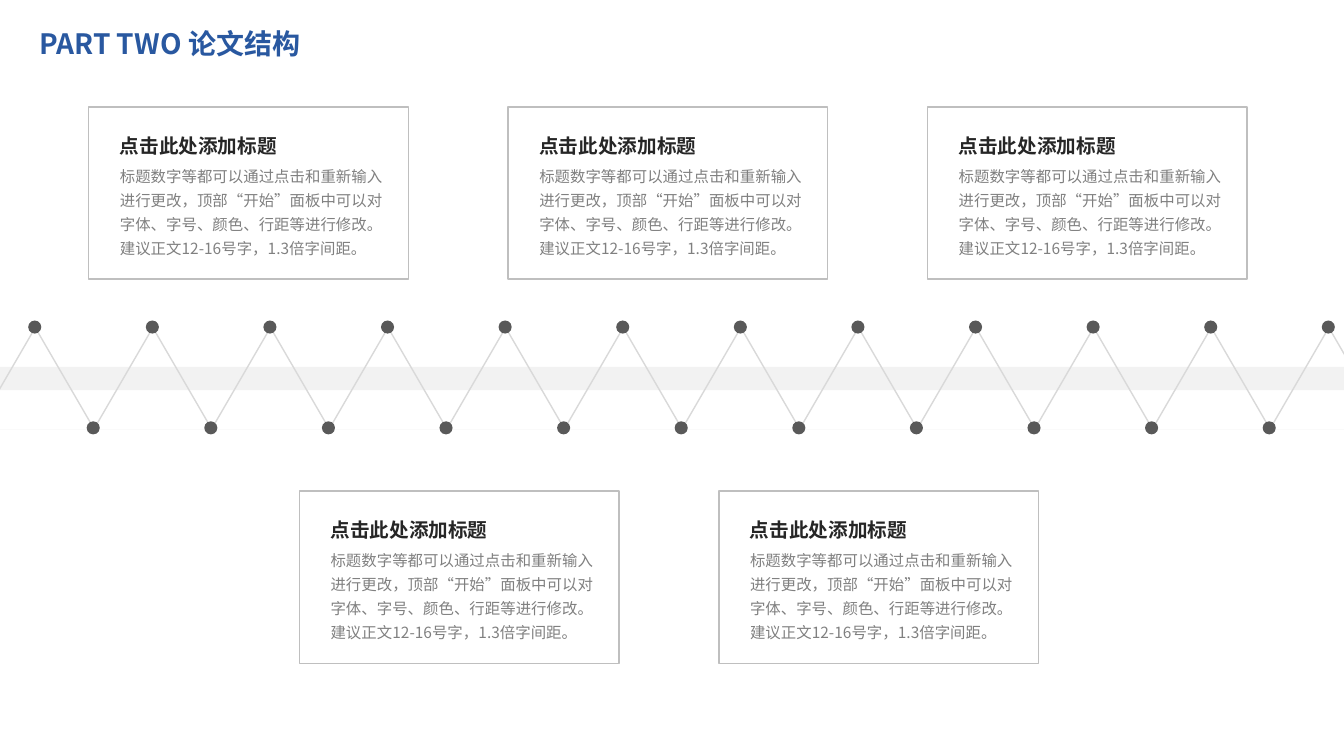
from pptx import Presentation
from pptx import util as u
from pptx.dml.color import RGBColor
from pptx.enum import shapes, text
from pptx.oxml.ns import qn
from lxml import etree

# Content
TITLE = "PART TWO 论文结构"
HEADING = "点击此处添加标题"
BODY = ("标题数字等都可以通过点击和重新输入进行更改，顶部“开始”面板中可以对"
        "字体、字号、颜色、行距等进行修改。建议正文12-16号字，1.3倍字间距。")
CARD_ROWS = [  # first left edge, top edge, headings and bodies
    (88, 106, [(HEADING, BODY)] * 3),
    (297, 487, [(HEADING, BODY)] * 2),
]

# Layout in px, 100 to the inch
PX = 9144
SLIDE_W, SLIDE_H = 1333, 750
CARD_W, CARD_H, CARD_PITCH = 317, 171, 416
PEAKS, PEAK_PITCH = 12, 1283 / 11
ZIGZAG_LEFT, ZIGZAG_TOP, ZIGZAG_H = -23, 325, 100
DOT = 13

# Formats
CJK_FONT = "Noto Sans CJK SC"
TITLE_FONT = {"name": CJK_FONT, "size": u.Pt(20), "bold": True}
HEADING_FONT = {"name": "Lato", "size": u.Pt(14), "bold": True}
BODY_FONT = {"name": CJK_FONT, "size": u.Pt(11), "bold": False}


def box(*lengths):
    return [u.Emu(round(length * PX)) for length in lengths]


def color(hex_value):
    return RGBColor.from_string(hex_value)


def set_all(target, values):
    for name, value in values.items():
        setattr(target, name, value)


def write(shape, words, font, font_color, frame_format, paragraph_format):
    frame = shape.text_frame
    set_all(frame, frame_format)
    paragraph = frame.paragraphs[0]
    set_all(paragraph, paragraph_format)
    run = paragraph.add_run()
    run.text = words
    set_all(run.font, font)
    run.font.color.rgb = color(font_color)
    east_asian = etree.SubElement(run.font._element, qn("a:ea"))
    east_asian.set("typeface", CJK_FONT)


def add_shape(group, kind, place, fill=None, line=None):
    shape = group.shapes.add_shape(kind, *box(*place))
    shape.shadow.inherit = False
    if fill:
        shape.fill.solid()
        shape.fill.fore_color.rgb = color(fill)
    else:
        shape.fill.background()
    if line:
        shape.line.color.rgb = color(line)
        shape.line.width = u.Pt(1)
    else:
        shape.line.fill.background()
    return shape


def add_title(slide):
    title = slide.shapes.title
    places = zip(("left", "top", "width", "height"), box(29, 24, 361, 43))
    set_all(title, dict(places))
    write(title, TITLE, TITLE_FONT, "2958A0",
          {"vertical_anchor": text.MSO_ANCHOR.MIDDLE, "word_wrap": True},
          {"alignment": text.PP_ALIGN.LEFT, "line_spacing": 0.9,
           "space_before": u.Pt(10)})


def add_zigzag(slide):
    group = slide.shapes.add_group_shape()
    kinds = shapes.MSO_SHAPE
    add_shape(group, kinds.RECTANGLE, (0, 364, SLIDE_W, 23), fill="F2F2F2")
    for i in range(PEAKS):
        left = ZIGZAG_LEFT + i * PEAK_PITCH
        add_shape(group, kinds.ISOSCELES_TRIANGLE,
                  (left, ZIGZAG_TOP, 116, ZIGZAG_H), line="D9D9D9")

    # White rule that opens the triangles into a zigzag
    rule = group.shapes.add_connector(
        shapes.MSO_CONNECTOR.STRAIGHT, *box(ZIGZAG_LEFT, 424, 1374, 424))
    rule.line.color.rgb = color("FFFFFF")
    rule.line.width = u.Pt(3)
    etree.SubElement(rule._element.spPr, qn("a:effectLst"))

    # Dots on the peaks and in the valleys between them
    for left, top, count in ((28, 318, PEAKS), (86, 418, PEAKS - 1)):
        for i in range(count):
            add_shape(group, kinds.OVAL,
                      (left + i * PEAK_PITCH, top, DOT, DOT), fill="595959")


def add_card(slide, left, top, heading, body):
    group = slide.shapes.add_group_shape()
    add_shape(group, shapes.MSO_SHAPE.RECTANGLE,
              (left, top, CARD_W, CARD_H), line="BFBFBF")
    fit = text.MSO_AUTO_SIZE.SHAPE_TO_FIT_TEXT
    heading_box = group.shapes.add_textbox(*box(left + 21, top + 22, 216, 34))
    write(heading_box, heading, HEADING_FONT, "262626",
          {"word_wrap": False, "auto_size": fit}, {})
    body_box = group.shapes.add_textbox(*box(left + 21, top + 49, 292, 104))
    write(body_box, body, BODY_FONT, "808080",
          {"word_wrap": True, "auto_size": fit}, {"line_spacing": 1.3})


def main():
    presentation = Presentation()
    presentation.slide_width, presentation.slide_height = box(SLIDE_W, SLIDE_H)
    slide = presentation.slides.add_slide(presentation.slide_layouts[5])
    add_title(slide)
    add_zigzag(slide)
    for left, top, cards in CARD_ROWS:
        for i, (heading, body) in enumerate(cards):
            add_card(slide, left + i * CARD_PITCH, top, heading, body)
    presentation.save("out.pptx")


if __name__ == "__main__":
    main()
